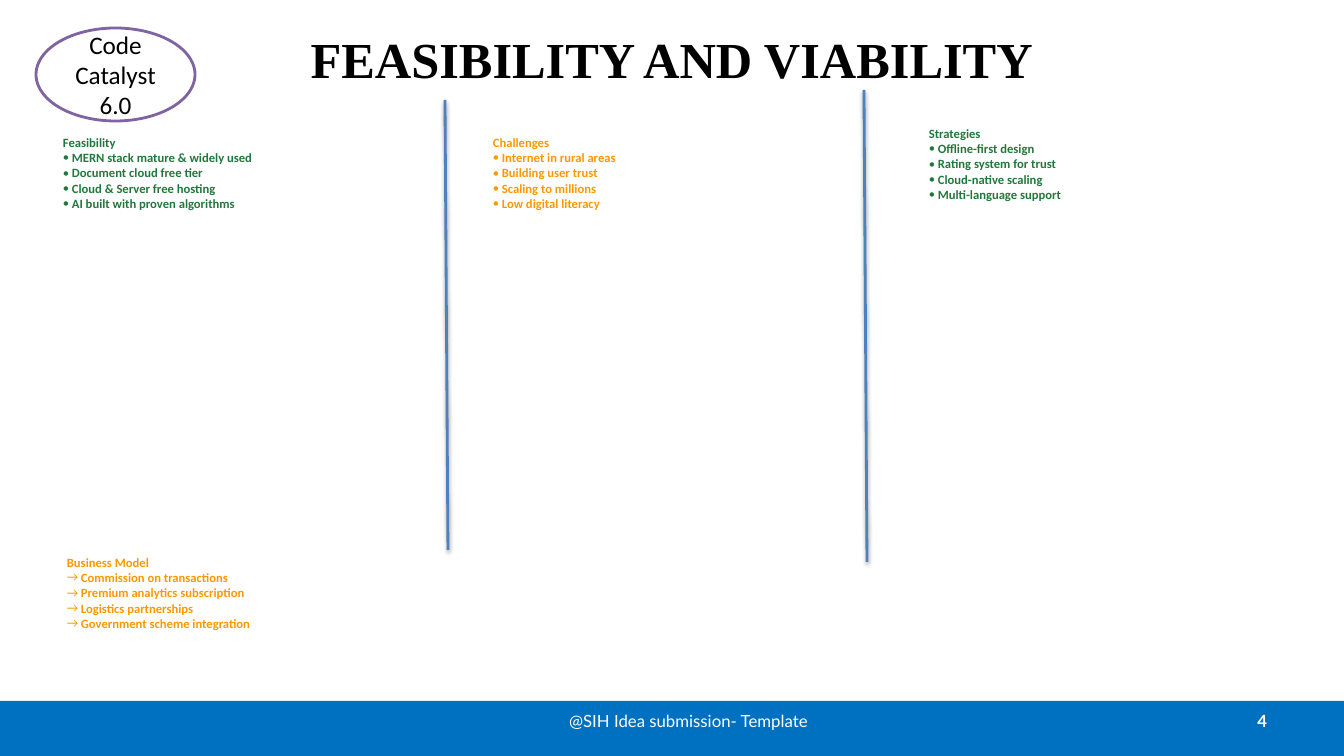
from dataclasses import dataclass

from lxml.etree import SubElement
from pptx import Presentation
from pptx.dml.color import RGBColor
from pptx.enum.shapes import MSO_CONNECTOR as Connector, MSO_SHAPE as Shape
from pptx.enum.text import MSO_ANCHOR as Anchor, PP_ALIGN as Align
from pptx.oxml.ns import qn
from pptx.util import Emu, Pt

EMU_PER_PX = 914400 / 100.8
EMU_PER_PT = 12700


@dataclass(frozen=True)
class Theme:
    """Colours, fonts and type sizes of the slide."""
    white: str = "FFFFFF"
    black: str = "000000"
    footer: str = "0070C0"
    footer_shadow: str = "808080"
    badge_line: str = "8064A2"
    divider: str = "4F81BD"
    green: str = "22783C"
    orange: str = "FF9800"
    title_font: str = "Times New Roman"
    footer_font: str = "Lato"
    body_font: str = "Calibri"
    title_size: int = 36
    badge_size: int = 18
    footer_size: int = 12
    body_size: int = 9
    line_width: int = 2


THEME = Theme()

SECTIONS = [
    ((53, 130, 359, 393), THEME.green, "•", 9, "Feasibility",
     ["MERN stack mature & widely used", "Document cloud free tier",
      "Cloud & Server free hosting", "AI built with proven algorithms"]),
    ((483, 130, 302, 363), THEME.orange, "•", 9, "Challenges",
     ["Internet in rural areas", "Building user trust",
      "Scaling to millions", "Low digital literacy"]),
    ((919, 121, 302, 363), THEME.green, "•", 9, "Strategies",
     ["Offline-first design", "Rating system for trust",
      "Cloud-native scaling", "Multi-language support"]),
    ((57, 550, 795, 136), THEME.orange, "→", 14, "Business Model",
     ["Commission on transactions", "Premium analytics subscription",
      "Logistics partnerships", "Government scheme integration"]),
]

DIVIDERS = [(445, 100, 448, 550), (864, 90, 867, 562)]


def px(*lengths):
    """Turn pixel lengths into EMU."""
    return [Emu(round(length * EMU_PER_PX)) for length in lengths]


def rgb(colour):
    """Return a colour object for a hex string."""
    return RGBColor.from_string(colour)


def add_run(paragraph, text, font, size, colour, bold=False):
    """Add one styled run to a paragraph."""
    run = paragraph.add_run()
    run.text = text
    run.font.name = font
    run.font.size = Pt(size)
    run.font.bold = bold
    run.font.color.rgb = rgb(colour)


def add_text_box(slide, box, anchor=Anchor.TOP):
    """Add a wrapping text box and return its text frame."""
    frame = slide.shapes.add_textbox(*px(*box)).text_frame
    frame.word_wrap = True
    frame.vertical_anchor = anchor
    return frame


def add_line_of_text(slide, box, align, text, *style):
    """Add a text box with one vertically centred paragraph."""
    paragraph = add_text_box(slide, box, Anchor.MIDDLE).paragraphs[0]
    paragraph.alignment = align
    add_run(paragraph, text, *style)


def add_shadow(shape, colour, opacity, blur, distance):
    """Give a shape a shadow that falls straight down."""
    effects = SubElement(shape._element.spPr, qn("a:effectLst"))
    shadow = SubElement(effects, qn("a:outerShdw"),
                        blurRad=str(round(blur * EMU_PER_PT)),
                        dist=str(round(distance * EMU_PER_PT)),
                        dir="5400000", rotWithShape="0")
    tint = SubElement(shadow, qn("a:srgbClr"), val=colour)
    SubElement(tint, qn("a:alpha"), val=str(opacity * 1000))


def set_bullet(paragraph, symbol, indent):
    """Give a paragraph a hanging bullet symbol."""
    properties = paragraph._p.get_or_add_pPr()
    width = str(px(indent)[0])
    properties.set("marL", width)
    properties.set("indent", "-" + width)
    SubElement(properties, qn("a:buFont"), typeface=THEME.body_font)
    SubElement(properties, qn("a:buChar"), char=symbol)


def add_footer(slide, box):
    """Draw the footer bar with its caption and page number."""
    left, top, width, height = box
    bar = slide.shapes.add_shape(Shape.RECTANGLE, *px(*box))
    bar.fill.solid()
    bar.fill.fore_color.rgb = rgb(THEME.footer)
    bar.line.fill.background()
    add_shadow(bar, THEME.footer_shadow, 35, 0, 1.8)
    style = THEME.footer_font, THEME.footer_size, THEME.white
    add_line_of_text(slide, (left + 512, top, 353, 40), Align.CENTER,
                     "@SIH Idea submission- Template", *style)
    add_line_of_text(slide, (left + width - 380, top, 313, 40), Align.RIGHT,
                     "4", *style, True)


def add_badge(slide, box):
    """Draw the oval badge with the event name."""
    badge = slide.shapes.add_shape(Shape.OVAL, *px(*box))
    badge.shadow.inherit = False
    badge.fill.solid()
    badge.fill.fore_color.rgb = rgb(THEME.white)
    badge.line.color.rgb = rgb(THEME.badge_line)
    badge.line.width = Pt(THEME.line_width)
    frame = badge.text_frame
    frame.vertical_anchor = Anchor.MIDDLE
    style = THEME.body_font, THEME.badge_size, THEME.black
    first, second = frame.paragraphs[0], frame.add_paragraph()
    first.alignment = second.alignment = Align.CENTER
    add_run(first, "Code", *style)
    add_run(second, "Catalyst", *style)
    second.add_line_break()
    add_run(second, "6.0", *style)


def add_section(slide, box, colour, symbol, indent, heading, points):
    """Write a heading and its bulleted points."""
    frame = add_text_box(slide, box)
    style = THEME.body_font, THEME.body_size, colour, True
    add_run(frame.paragraphs[0], heading, *style)
    for point in points:
        paragraph = frame.add_paragraph()
        set_bullet(paragraph, symbol, indent)
        add_run(paragraph, point, *style)


def add_divider(slide, ends):
    """Draw one line between two columns."""
    divider = slide.shapes.add_connector(Connector.STRAIGHT, *px(*ends))
    divider.line.color.rgb = rgb(THEME.divider)
    divider.line.width = Pt(THEME.line_width)
    add_shadow(divider, THEME.black, 38, 3.1, 1.6)


def main():
    """Build the slide and save it."""
    presentation = Presentation()
    presentation.slide_width, presentation.slide_height = px(1344, 756)
    slide = presentation.slides.add_slide(presentation.slide_layouts[6])
    add_footer(slide, (0, 701, 1344, 55))
    add_line_of_text(slide, (67, -5, 1210, 126), Align.CENTER,
                     "FEASIBILITY AND VIABILITY", THEME.title_font,
                     THEME.title_size, THEME.black, True)
    add_badge(slide, (36, 28, 159, 93))
    for section in SECTIONS:
        add_section(slide, *section)
    for ends in DIVIDERS:
        add_divider(slide, ends)
    presentation.save("out.pptx")


if __name__ == "__main__":
    main()
